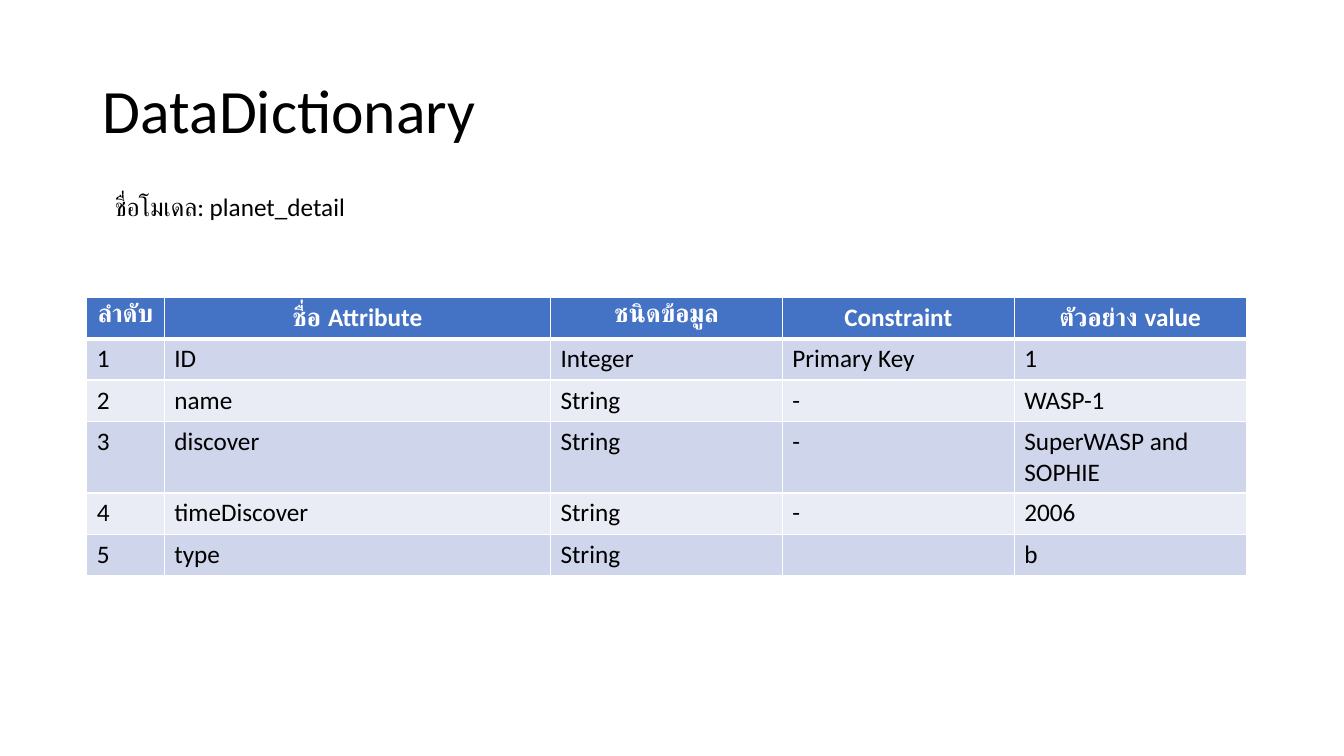
from dataclasses import dataclass

from lxml.etree import SubElement
from pptx import Presentation
from pptx.dml.color import RGBColor
from pptx.enum.text import MSO_ANCHOR, MSO_AUTO_SIZE, PP_ALIGN
from pptx.oxml.ns import qn
from pptx.table import _Cell
from pptx.text.text import TextFrame
from pptx.util import Inches, Pt

FONT = "Calibri"
BLACK, WHITE = "000000", "FFFFFF"
HEADER_FILL = "4472C4"
BAND_FILLS = ("CFD5EA", "E9EBF5")
COLUMN_WIDTHS = (0.77, 3.83, 2.3, 2.3, 2.3)
ROW_HEIGHT = 0.41
HEADERS = ("ลำดับ", "ชื่อ Attribute", "ชนิดข้อมูล", "Constraint", "ตัวอย่าง value")


@dataclass
class Attribute:
    name: str
    data_type: str
    constraint: str
    example: str


ATTRIBUTES = (
    Attribute("ID", "Integer", "Primary Key", "1"),
    Attribute("name", "String", "-", "WASP-1"),
    Attribute("discover", "String", "-", "SuperWASP and SOPHIE"),
    Attribute("timeDiscover", "String", "-", "2006"),
    Attribute("type", "String", "", "b"),
)


def color(value: str) -> RGBColor:
    return RGBColor.from_string(value)


def write(text_frame: TextFrame, text: str, size: int, text_color: str = BLACK,
          bold: bool = False, alignment: PP_ALIGN = PP_ALIGN.LEFT) -> None:
    text_frame.text = text
    paragraph = text_frame.paragraphs[0]
    paragraph.alignment = alignment
    for run in paragraph.runs:
        run.font.name = FONT
        run.font.size = Pt(size)
        run.font.bold = bold
        run.font.color.rgb = color(text_color)


def add_borders(cell: _Cell, top: int, bottom: int) -> None:
    properties = cell._tc.get_or_add_tcPr()
    for side, width in (("L", 1), ("R", 1), ("T", top), ("B", bottom)):
        line = SubElement(properties, qn(f"a:ln{side}"), w=str(Pt(width)))
        fill = SubElement(line, qn("a:solidFill"))
        SubElement(fill, qn("a:srgbClr"), val=WHITE)


def format_cell(cell: _Cell, text: str, row: int) -> None:
    is_header = row == 0
    add_borders(cell, top=3 if row == 1 else 1, bottom=3 if is_header else 1)
    cell.fill.solid()
    cell.fill.fore_color.rgb = color(HEADER_FILL if is_header else BAND_FILLS[(row - 1) % 2])
    write(cell.text_frame, text, 18, WHITE if is_header else BLACK, is_header,
          PP_ALIGN.CENTER if is_header else PP_ALIGN.LEFT)


def main() -> None:
    presentation = Presentation()
    presentation.slide_width = Inches(13.33)
    presentation.slide_height = Inches(7.5)
    slide = presentation.slides.add_slide(presentation.slide_layouts[5])

    title = slide.shapes.title
    title.left, title.top = Inches(0.92), Inches(0.4)
    title.width, title.height = Inches(11.5), Inches(1.45)
    write(title.text_frame, "DataDictionary", 44)
    title.text_frame.vertical_anchor = MSO_ANCHOR.MIDDLE
    title.text_frame.paragraphs[0].line_spacing = 0.9

    rows = [HEADERS] + [
        (str(number), attribute.name, attribute.data_type, attribute.constraint, attribute.example)
        for number, attribute in enumerate(ATTRIBUTES, start=1)
    ]
    table = slide.shapes.add_table(
        len(rows), len(HEADERS), Inches(0.86), Inches(2.95),
        Inches(sum(COLUMN_WIDTHS)), Inches(ROW_HEIGHT * len(rows)),
    ).table
    for column, width in zip(table.columns, COLUMN_WIDTHS):
        column.width = Inches(width)
    for row_index, texts in enumerate(rows):
        table.rows[row_index].height = Inches(ROW_HEIGHT)
        for column_index, text in enumerate(texts):
            format_cell(table.cell(row_index, column_index), text, row_index)

    model_name = slide.shapes.add_textbox(Inches(1.04), Inches(1.85), Inches(4.09), Inches(0.4))
    model_name.text_frame.word_wrap = True
    model_name.text_frame.auto_size = MSO_AUTO_SIZE.SHAPE_TO_FIT_TEXT
    write(model_name.text_frame, "ชื่อโมเดล: planet_detail", 18)

    presentation.save("out.pptx")


if __name__ == "__main__":
    main()
